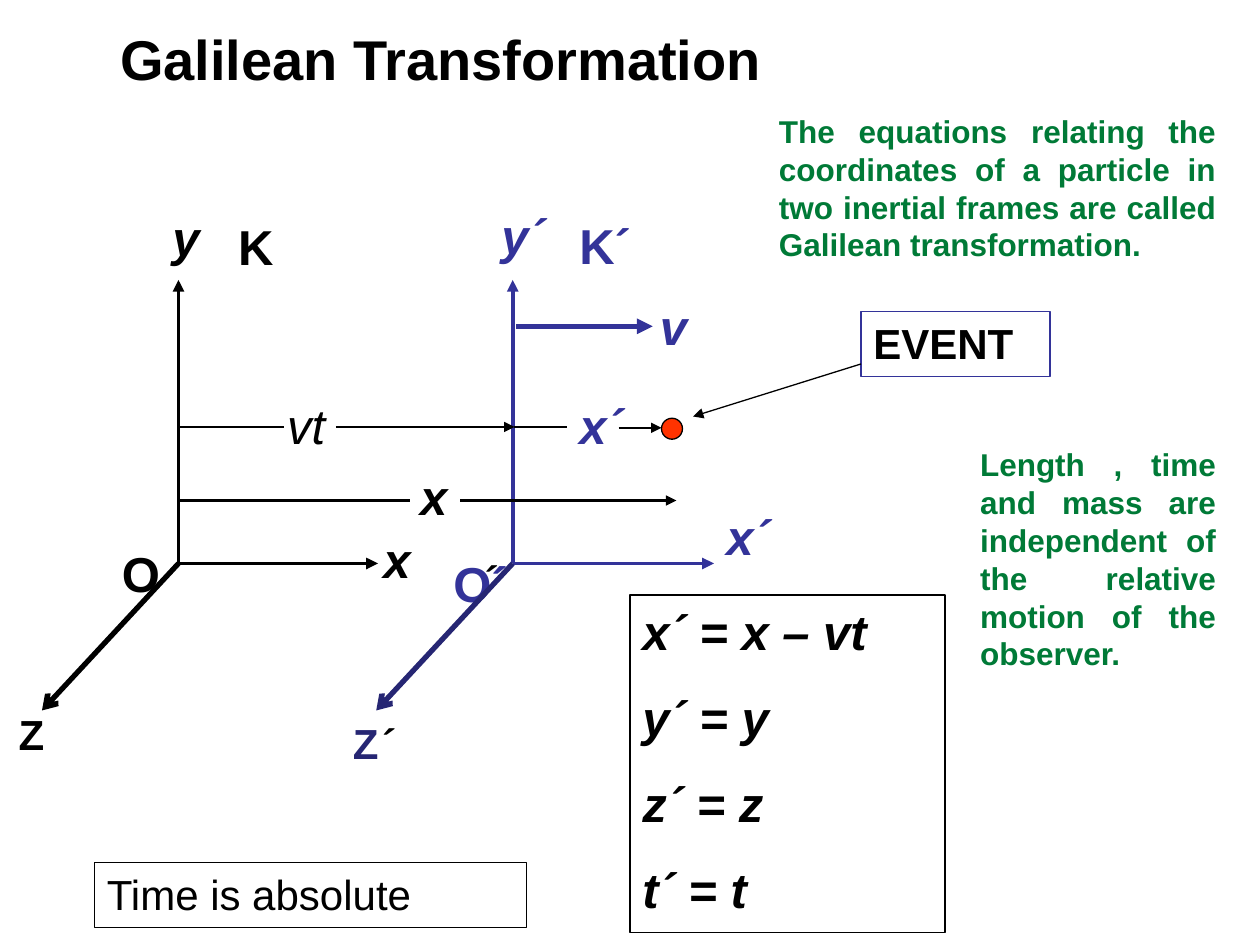
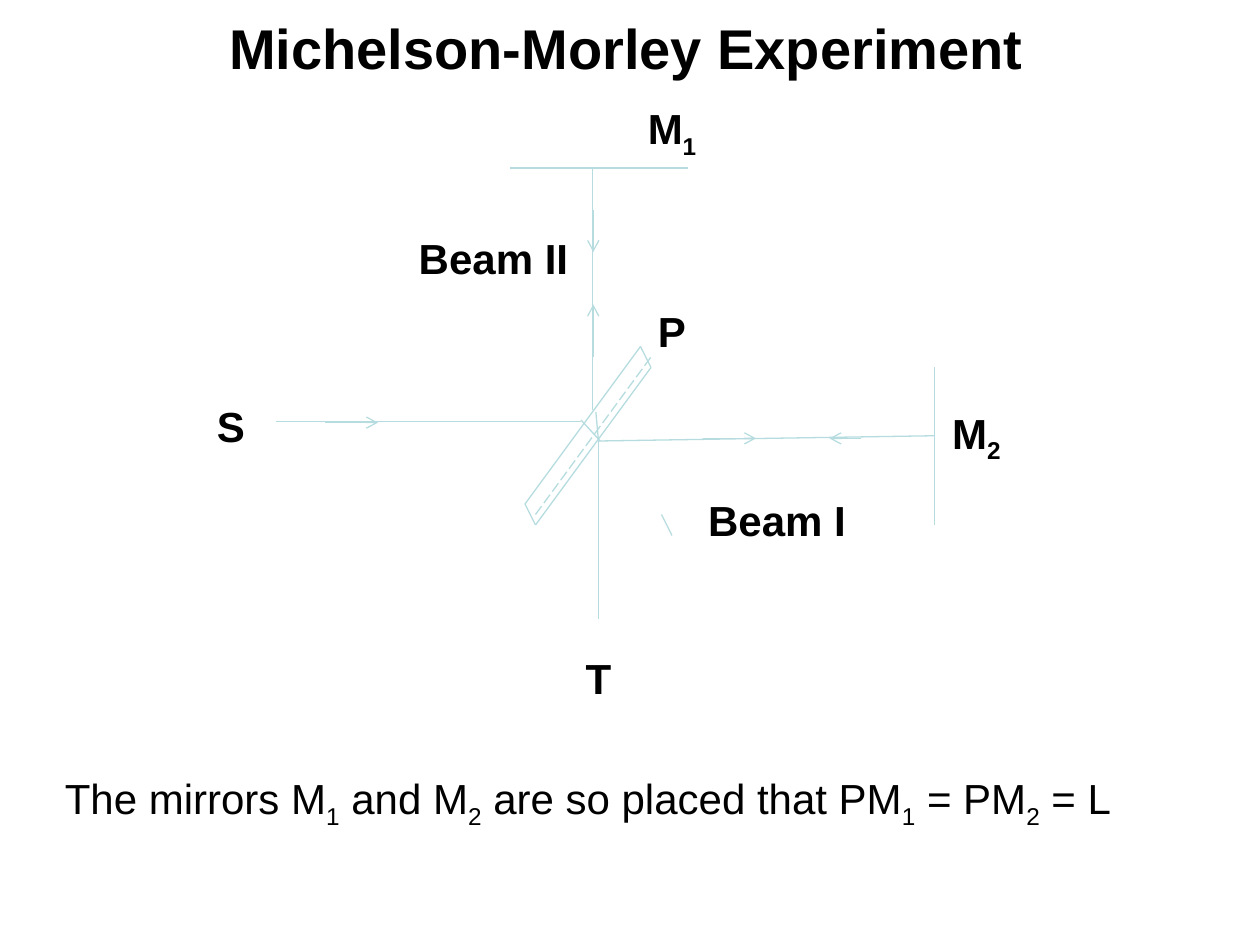
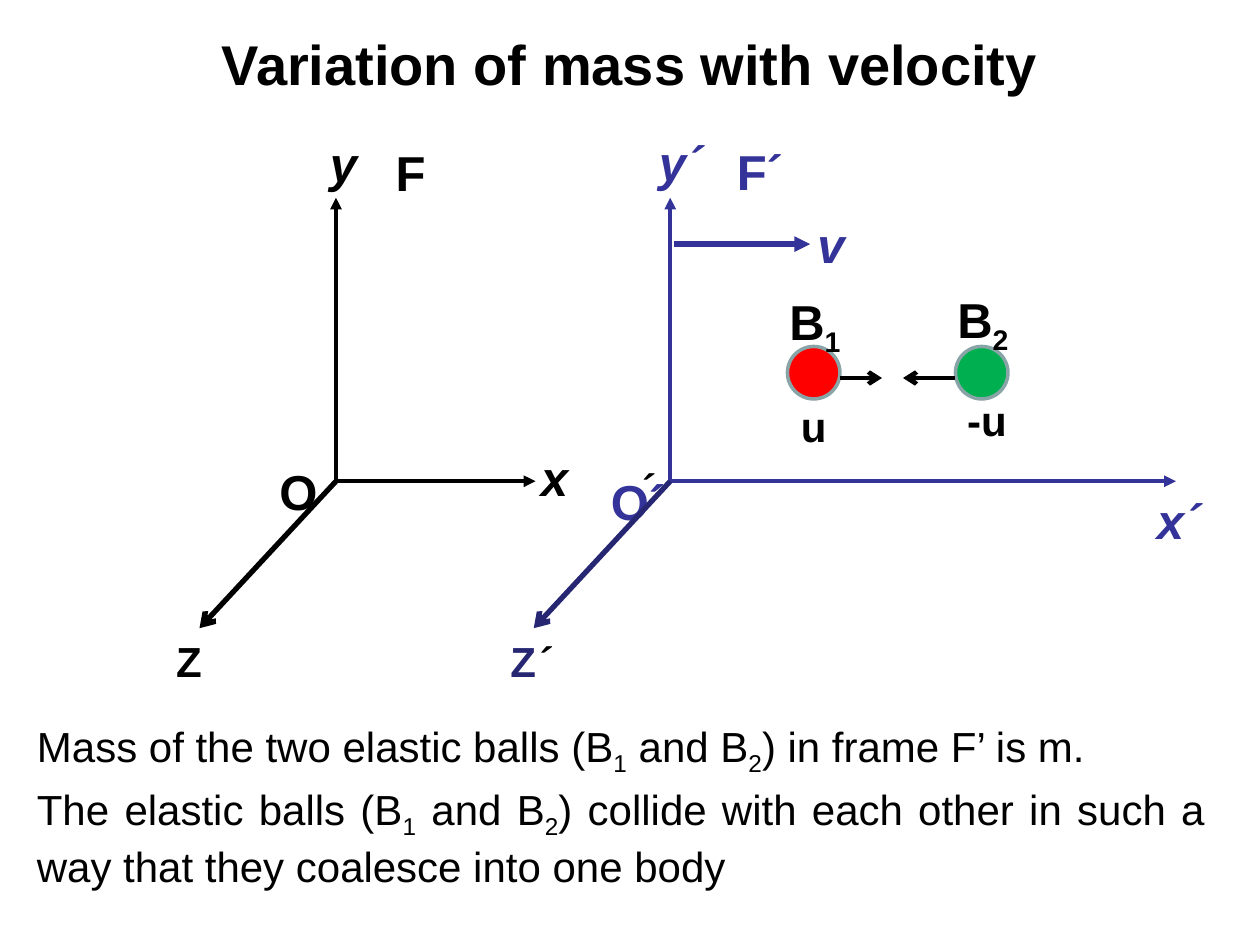
from pptx import Presentation
from pptx.dml.color import RGBColor
from pptx.enum.dml import MSO_LINE
from pptx.enum.shapes import MSO_CONNECTOR, MSO_SHAPE
from pptx.enum.text import MSO_ANCHOR, PP_ALIGN
from pptx.oxml.ns import qn
from pptx.util import Pt
from lxml import etree

LEFT, MID, JUST = PP_ALIGN.LEFT, PP_ALIGN.CENTER, PP_ALIGN.JUSTIFY
TOP, CENTRE = MSO_ANCHOR.TOP, MSO_ANCHOR.MIDDLE
RECT, OVAL = MSO_SHAPE.RECTANGLE, MSO_SHAPE.OVAL
STRAIGHT, DASH = MSO_CONNECTOR.STRAIGHT, MSO_LINE.LONG_DASH

FONT = "Arial"
BLACK, WHITE, GREEN = "000000", "FFFFFF", "007A37"
BLUE, NAVY, BEAM = "333399", "262673", "B6DCDF"
SPAN = 191  # distance between the two origins


def rgb(code):
    return RGBColor.from_string(code)


def add_run(par, words, size, hue, bold, slant=False, sub=False):
    run = par.add_run()
    run.text = words
    font = run.font
    font.name, font.size = FONT, Pt(size)
    font.bold, font.italic = bold, slant
    font.color.rgb = rgb(hue)
    if sub:
        run._r.get_or_add_rPr().set("baseline", "-25000")


def write(frame, lines, size=28, hue=BLACK, bold=True, slant=False,
          align=LEFT, anchor=TOP, gap=0):
    """Fill a frame; the character after an underscore is a subscript."""
    frame.word_wrap = True
    frame.vertical_anchor = anchor
    for row, words in enumerate(lines):
        par = frame.add_paragraph() if row else frame.paragraphs[0]
        par.alignment = align
        par.space_before = Pt(gap if row else 0)
        first, *rest = words.split("_")
        add_run(par, first, size, hue, bold, slant)
        for part in rest:
            add_run(par, part[0], size, hue, bold, slant, sub=True)
            if part[1:]:
                add_run(par, part[1:], size, hue, bold, slant)
    return par


def text(slide, x, y, w, h, words, **look):
    box = slide.shapes.add_textbox(Pt(x), Pt(y), Pt(w), Pt(h))
    return write(box.text_frame, [words], **look)


def tag(slide, x, y, w, h, words, **look):
    """Bold label centred both ways."""
    return text(slide, x, y, w, h, words,
                **{"size": 24, "align": MID, "anchor": CENTRE, **look})


def title(slide, x, y, h, words):
    tag(slide, x, y, 612, h, words, size=32)


def mark(slide, x, y, words, hue=BLACK, slant=False, w=54):
    """Large label set from its top left corner."""
    text(slide, x, y, w, 41, words, hue=hue, slant=slant)


def form(slide, kind, x, y, w, h, fill, edge, width=0.75):
    shape = slide.shapes.add_shape(kind, Pt(x), Pt(y), Pt(w), Pt(h))
    shape.shadow.inherit = False
    shape.fill.solid()
    shape.fill.fore_color.rgb = rgb(fill)
    shape.line.color.rgb = rgb(edge)
    shape.line.width = Pt(width)
    return shape


def panel(slide, x, y, w, h, lines, edge=BLACK, **look):
    shape = form(slide, RECT, x, y, w, h, WHITE, edge)
    write(shape.text_frame, lines, **look)


def line(slide, start, end, hue=BLACK, width=1.5, head=None, dash=None):
    link = slide.shapes.add_connector(
        STRAIGHT, *[Pt(v) for v in (*start, *end)])
    link.line.color.rgb = rgb(hue)
    link.line.width = Pt(width)
    if dash:
        link.line.dash_style = dash
    props = link._element.spPr
    if head:
        etree.SubElement(props.find(qn("a:ln")), qn("a:tailEnd"), type=head)
    etree.SubElement(props, qn("a:effectLst"))


def axes(slide, x, y, reach, hue, deep):
    """Three axes from the origin at x, y."""
    line(slide, (x, y), (x + reach, y), hue, 2.25, "triangle")
    line(slide, (x, y), (x, y - 162), hue, 2.25, "triangle")
    line(slide, (x, y), (x - 78, y + 84), deep, 3, "arrow")


def frames(slide, x, y, top, name, reach):
    """A fixed frame at x, y and a moving one beside it."""
    far = x + SPAN
    mark(slide, x - 10.5, top + 1, "y", slant=True, w=42)
    mark(slide, x + 27, top + 6, name)
    mark(slide, far - 13.5, top, "y´", BLUE, True, 42)
    mark(slide, far + 31, top + 5.5, name + "´", BLUE)
    mark(slide, x + 110, y - 23, "x", slant=True)
    mark(slide, far + 77, y - 156, "v", BLUE, True)
    mark(slide, x - 39.5, y - 15, "O", w=48)
    mark(slide, far - 41, y - 9, "O´", BLUE, w=48)
    axes(slide, x, y, 114, BLACK, BLACK)
    axes(slide, far, y, reach, BLUE, NAVY)
    line(slide, (far + 2, y - 135.5), (far + 80, y - 135.5), BLUE, 3,
         "triangle")
    par = tag(slide, far - 116, y + 78.5, 72, 48, "Z", hue=NAVY)
    add_run(par, "´", 24, BLACK, True, True)


def galileo(slide):
    title(slide, -54, -12, 90, "Galilean Transformation")
    frames(slide, 102, 322, 114, "K", 115)
    tag(slide, -18, 395, 72, 48, "Z")
    tag(slide, 264, 316, 30, 30, "´", slant=True)
    mark(slide, 408, 286, "x´", BLUE, True, 42)

    text(slide, 157, 222.5, 42, 41, "vt", bold=False, slant=True)
    mark(slide, 324, 222.5, "x´", BLUE, True, 42)
    mark(slide, 233, 263, "x", slant=True)
    for start, end, y, head in (
            (102, 162, 244, None), (192, 294, 244, "triangle"),
            (294, 324, 244, None), (353.5, 378, 244.5, "triangle"),
            (102, 234, 286, None), (263, 386.5, 286, "triangle")):
        line(slide, (start, y), (end, y), head=head)

    form(slide, OVAL, 378, 239, 12, 12, "FF3300", BLACK)
    panel(slide, 492, 178, 108, 37, ["EVENT"], BLUE, size=24)
    line(slide, (492, 208), (396, 238), width=0.75, head="triangle")
    panel(slide, 360, 340, 180, 193,
          ["x´ = x – vt", "y´ = y", "z´ = z", "t´ = t"],
          slant=True, gap=15.5)
    panel(slide, 54, 493, 247, 37, ["Time is absolute"], size=24, bold=False)

    note = {"size": 18, "hue": GREEN, "align": JUST}
    text(slide, 438, 60.5, 264, 94,
         "The equations relating the coordinates of a particle in two "
         "inertial frames are called Galilean transformation.", **note)
    text(slide, 553, 251, 149, 138,
         "Length , time and mass are independent of the relative motion "
         "of the observer.", **note)


def mirrors(slide):
    title(slide, 52, -18, 90, "Michelson-Morley Experiment")
    text(slide, 30, 438, 684, 84,
         "The mirrors M_1 and M_2 are so placed that PM_1 = PM_2 = L",
         size=24, bold=False, align=JUST)
    for x, y, w, words in (
            (360, 54, 48, "M_1"), (534, 228, 48, "M_2"),
            (360, 168, 48, "P"), (108, 222, 48, "S"), (318, 366, 48, "T"),
            (390, 276, 108, "Beam I"), (228, 126, 108, "Beam II")):
        tag(slide, x, y, w, 42, words)

    plate = [(300, 288), (366, 198), (372, 210), (306, 300)]
    rays = [
        ((291.5, 96), (393, 96)), ((534, 210), (534, 300)),
        ((378, 294), (384, 306)), ((157.5, 241), (332, 241)),
        ((342, 252), (534, 249)), ((332, 240), (343, 252)),
        ((338.5, 96), (338.5, 234)), ((342, 252), (342, 354)),
        ((340.5, 235.5), (342, 252))]
    for start, end in rays + list(zip(plate, plate[1:] + plate[:1])):
        line(slide, start, end, BEAM, 0.75)
    for start, end in (
            ((339, 204), (339, 174)), ((339, 120), (339, 144)),
            ((186, 241.5), (216, 241.5)), ((492, 250.5), (474, 250.5)),
            ((402, 250.5), (432, 250.5))):
        line(slide, start, end, BEAM, 0.75, "arrow")
    line(slide, (306, 294), (372, 204), BEAM, 0.75, dash=DASH)


def mass(slide):
    title(slide, 54, 0, 72, "Variation of mass with velocity")
    frames(slide, 192, 275, 72, "F", 289)
    tag(slide, 72, 353.5, 72, 48, "Z")
    tag(slide, 354, 263.5, 30, 30, "´", slant=True)
    mark(slide, 654, 276.5, "x´", BLUE, True, 42)

    for x, hue, tip in ((450, "FF0000", 504), (546, "00B050", 516)):
        form(slide, OVAL, x, 198, 30, 30, hue, "89A4A7", 2)
        side = x + 30 if tip > x else x
        line(slide, (side, 216), (tip, 216), width=2.5, head="arrow")
    mark(slide, 444, 163, "B_1", w=48)
    mark(slide, 540, 162, "B_2", w=48)
    tag(slide, 429, 219, 72, 48, "u")
    tag(slide, 528, 216, 72, 48, "-u")

    for y, w, h, words in (
            (408, 688, 42,
             "Mass of the two elastic balls (B_1 and B_2) in frame F’ is m."),
            (444, 681.5, 66,
             "The elastic balls (B_1 and B_2) collide with each other in "
             "such a way that they coalesce into one body")):
        text(slide, 14, y, w, h, words, size=24, bold=False, align=JUST)


def main():
    deck = Presentation()
    deck.slide_width, deck.slide_height = Pt(720), Pt(540)
    for draw in (galileo, mirrors, mass):
        draw(deck.slides.add_slide(deck.slide_layouts[6]))
    deck.save("out.pptx")


if __name__ == "__main__":
    main()
